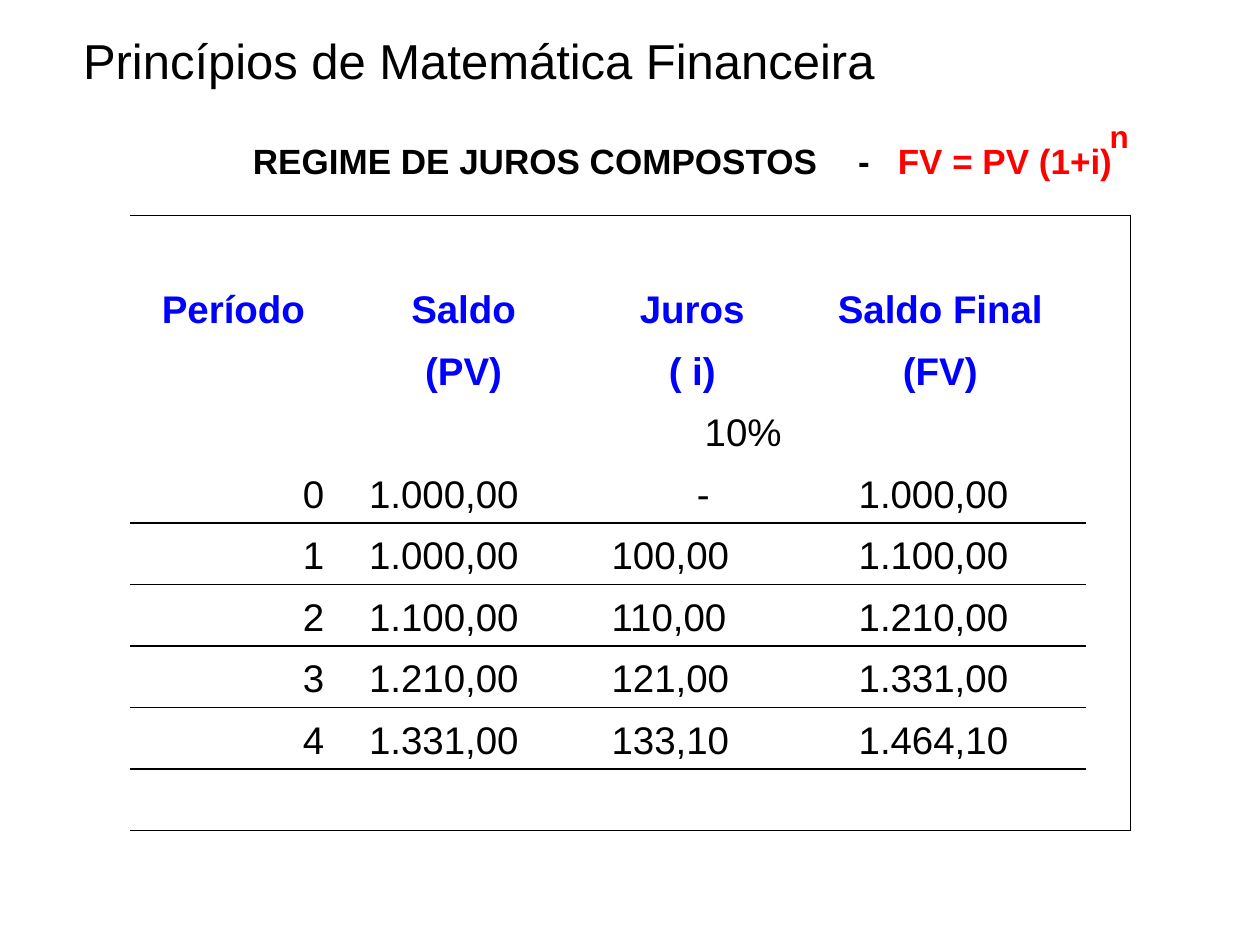
from dataclasses import dataclass

from lxml.etree import SubElement
from pptx import Presentation
from pptx.dml.color import RGBColor as Color
from pptx.enum.text import MSO_ANCHOR as Anchor, MSO_AUTO_SIZE as AutoSize, PP_ALIGN as Align
from pptx.oxml.ns import qn
from pptx.util import Cm, Pt


@dataclass(frozen=True)
class Theme:
    font: str = "Arial"
    ink: str = "000000"
    accent: str = "FF0000"
    header: str = "0000FF"
    title_size: int = 28
    heading_size: int = 20
    exponent_size: int = 18
    table_size: int = 22
    rule_width: int = 1
    plain_table: str = "{2D5ABB26-0587-4C30-8999-92F81FD0307C}"


class SlideBuilder:
    def __init__(self, deck, theme):
        self.theme = theme
        self.page = deck.slides.add_slide(deck.slide_layouts[5])

    def style(self, span, size, color, bold=False):
        span.font.name = self.theme.font
        span.font.size = Pt(size)
        span.font.bold = bold
        span.font.color.rgb = Color.from_string(color)

    def title(self, text, left, top, width, height):
        box = self.page.shapes.title
        box.left, box.top, box.width, box.height = map(Cm, (left, top, width, height))
        frame = box.text_frame
        frame.text = text
        frame.auto_size = AutoSize.NONE
        frame.vertical_anchor = Anchor.MIDDLE
        para = frame.paragraphs[0]
        para.alignment = Align.LEFT
        para.line_spacing = 0.9
        self.style(para.runs[0], self.theme.title_size, self.theme.ink)

    def text(self, parts, size, left, top, width, height, tabs=()):
        box = self.page.shapes.add_textbox(Cm(left), Cm(top), Cm(width), Cm(height))
        box.text_frame.word_wrap = True
        para = box.text_frame.paragraphs[0]
        if tabs:
            stops = SubElement(para._p.get_or_add_pPr(), qn("a:tabLst"))
            for position in tabs:
                SubElement(stops, qn("a:tab"), pos=str(int(Cm(position))), algn="l")
        for text, color in parts:
            span = para.add_run()
            span.text = text
            self.style(span, size, color, bold=True)

    def border(self, cell, side):
        line = SubElement(cell._tc.get_or_add_tcPr(), qn(f"a:ln{side}"),
                          w=str(int(Pt(self.theme.rule_width))))
        fill = SubElement(line, qn("a:solidFill"))
        SubElement(fill, qn("a:srgbClr"), val=self.theme.ink)

    def cell(self, cell, text, color, bold, align, indent):
        cell.vertical_anchor = Anchor.BOTTOM
        cell.fill.background()
        if not text:
            return
        cell.text = text
        para = cell.text_frame.paragraphs[0]
        para.alignment = align
        para.line_spacing = 0.95
        if indent:
            cell.margin_left = Cm(indent)
        self.style(para.runs[0], self.theme.table_size, color, bold)

    def table(self, rows, left, top, widths, row_height, header_rows, ruled_rows, indents):
        frame = self.page.shapes.add_table(
            len(rows), len(widths), Cm(left), Cm(top),
            Cm(sum(widths)), Cm(row_height * len(rows)))
        table = frame.table
        table.first_row = table.horz_banding = False
        table._tbl.tblPr.find(qn("a:tableStyleId")).text = self.theme.plain_table
        for column, width in zip(table.columns, widths):
            column.width = Cm(width)
        last_row, last_column = len(rows) - 1, len(widths) - 1
        for r, values in enumerate(rows):
            table.rows[r].height = Cm(row_height)
            for c in range(len(widths)):
                cell = table.cell(r, c)
                if c == last_column:
                    self.border(cell, "R")
                if r == 0 or (r - 1 in ruled_rows and c < last_column):
                    self.border(cell, "T")
                if r == last_row or (r in ruled_rows and c < last_column):
                    self.border(cell, "B")
                text = values[c] if c < len(values) else ""
                is_header = r in header_rows
                color = self.theme.header if is_header else self.theme.ink
                indent = 0
                if is_header:
                    align = Align.CENTER
                elif c == 0 or text.endswith("%"):
                    align = Align.RIGHT
                else:
                    align = Align.LEFT
                    indent = indents["-"] if text == "-" else indents.get(c, 0)
                self.cell(cell, text, color, is_header, align, indent)


def main():
    deck = Presentation()
    deck.slide_width, deck.slide_height = Cm(25.4), Cm(19.05)
    theme = Theme()
    slide = SlideBuilder(deck, theme)

    slide.title("Princípios de Matemática Financeira", 1.42, 0.41, 18.87, 1.75)
    slide.text([("REGIME DE JUROS COMPOSTOS\t-\t", theme.ink), ("FV = PV (1+i)", theme.accent)],
               theme.heading_size, 4.85, 2.69, 19.38, 1.09, tabs=(12.2, 13))
    slide.text([("n", theme.accent)], theme.exponent_size, 22.12, 2.24, 2.39, 1.02)

    rows = [
        [],
        ["Período", "Saldo", "Juros", "Saldo Final"],
        ["", "(PV)", "( i)", "(FV)"],
        ["", "", "10%", ""],
        ["0", "1.000,00", "-", "1.000,00"],
        ["1", "1.000,00", "100,00", "1.100,00"],
        ["2", "1.100,00", "110,00", "1.210,00"],
        ["3", "1.210,00", "121,00", "1.331,00"],
        ["4", "1.331,00", "133,10", "1.464,10"],
        [],
    ]
    slide.table(rows, 2.62, 4.34, (4.17, 5.11, 4.11, 5.89, 0.89), 1.24,
                header_rows=range(1, 3), ruled_rows=range(4, 9),
                indents={1: 0.65, 2: 0.43, 3: 1.3, "-": 2.15})
    deck.save("out.pptx")


if __name__ == "__main__":
    main()
